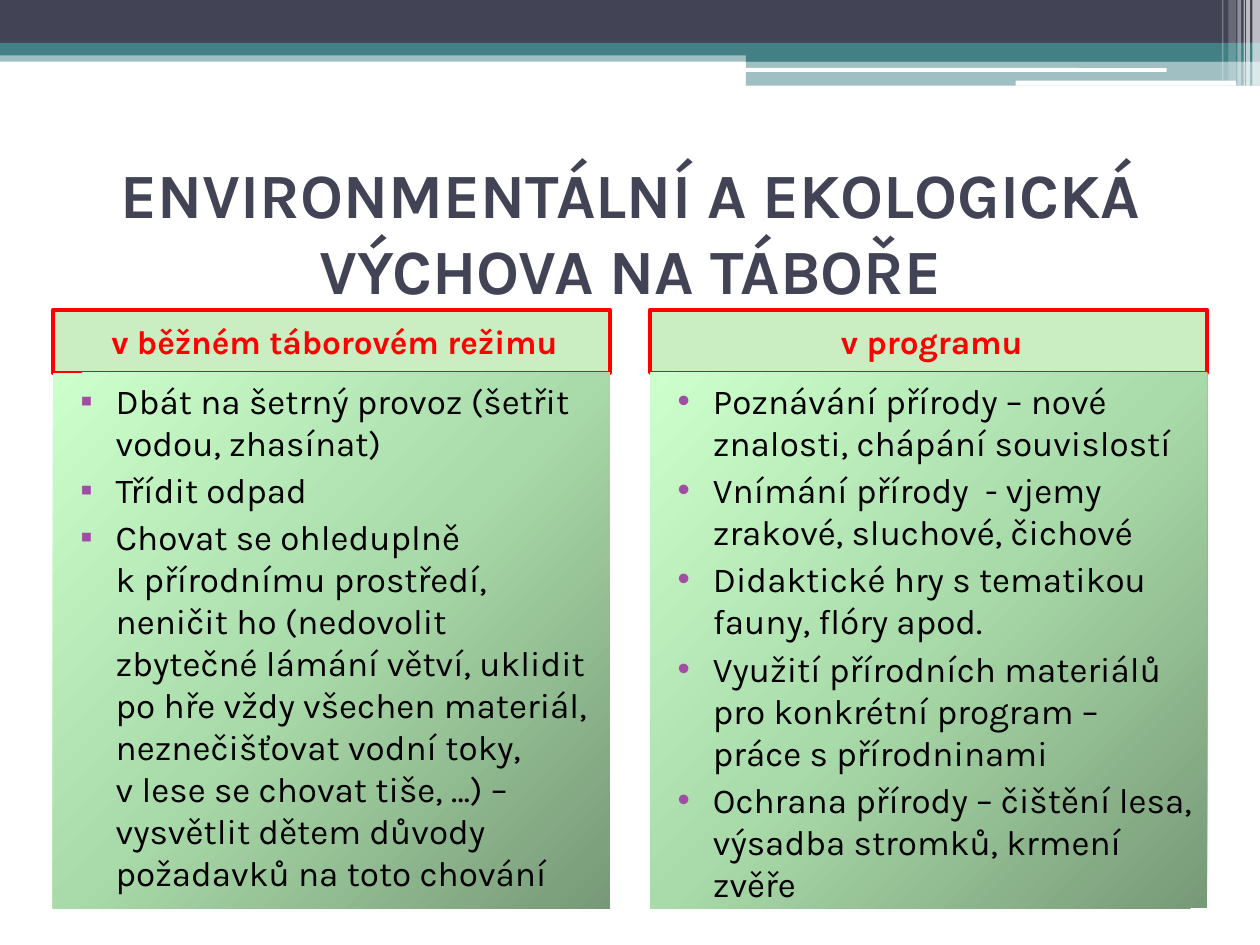
"""Build a slide on environmental education at a summer camp."""
from lxml import etree
from pptx import Presentation
from pptx import util as u
from pptx.dml.color import RGBColor
from pptx.enum import shapes, text
from pptx.oxml import ns, parse_xml

NAVY = RGBColor(0x42, 0x44, 0x56)
TEAL = RGBColor(0x43, 0x80, 0x86)
WHITE = RGBColor(0xFF, 0xFF, 0xFF)
BLACK = RGBColor(0, 0, 0)
RED = RGBColor(0xFF, 0, 0)
GREEN = RGBColor(0x2D, 0xBF, 0x0B)
PURPLE = RGBColor(0xA0, 0x4D, 0xA3)
GRADIENT = ((0, RGBColor(0x77, 0x99, 0x77)), (50, RGBColor(0xA9, 0xDA, 0xA9)),
            (100, RGBColor(0xCC, 0xFF, 0xCC)))
FONT = "Karla"
LINEAR = '<a:lin ang="13500000" scaled="0"/>'
CIRCLE = '<a:path path="circle"><a:fillToRect l="100000" t="100000"/></a:path>'
COLUMN_W = 4.42

BANDS = (
    (0, 0.4, 10, 0.09, TEAL, 50),
    (0, 0, 10, 0.34, NAVY, 100),
    (0, 0.34, 10, 0.1, TEAL, 100),
    (5.92, 0.39, 4.08, 0.1, TEAL, 100),
    (5.92, 0.48, 4.08, 0.2, TEAL, 50),
)
PILLS = ((5.91, 0.54, 3.35, 0.03), (8.06, 0.64, 1.75, 0.04))
STRIPES = (
    (9.94, 0.06, 0.68, 65), (9.89, 0.03, 0.68, 65), (9.87, 0.01, 0.68, 60),
    (9.82, 0.03, 0.68, 40), (9.75, 0.06, 0.64, 20), (9.7, 0.01, 0.64, 30),
)
COLUMNS = (
    (0.42, "v\u00a0běžném táborovém režimu", "▪", CIRCLE, (
        "Dbát na šetrný provoz (šetřit vodou, zhasínat)",
        "Třídit odpad",
        "Chovat se ohleduplně k\u00a0přírodnímu prostředí, neničit ho (nedovolit "
        "zbytečné lámání větví, uklidit po hře vždy všechen materiál, "
        "neznečišťovat vodní toky, v\u00a0lese se chovat tiše, …) – vysvětlit "
        "dětem důvody požadavků na toto chování")),
    (5.16, "v\u00a0programu", "•", LINEAR, (
        "Poznávání přírody – nové znalosti, chápání souvislostí",
        "Vnímání přírody  - vjemy zrakové, sluchové, čichové",
        "Didaktické hry s\u00a0tematikou fauny, flóry apod.",
        "Využití přírodních materiálů pro konkrétní program – "
        "práce s\u00a0přírodninami",
        "Ochrana přírody – čištění lesa, výsadba stromků, krmení zvěře")),
)


def add_box(s, x, y, w, h, color=None, alpha=100, kind=shapes.MSO_SHAPE.RECTANGLE):
    """Add a borderless shape, optionally with a translucent solid fill."""
    sp = s.shapes.add_shape(kind, *map(u.Inches, (x, y, w, h)))
    sp.shadow.inherit = False
    sp.line.fill.background()
    if color is not None:
        sp.fill.solid()
        sp.fill.fore_color.rgb = color
        if alpha < 100:
            clr = sp._element.spPr.find(ns.qn("a:solidFill"))[0]
            etree.SubElement(clr, ns.qn("a:alpha")).set("val", str(alpha * 1000))
    return sp


def set_gradient(sp, shade):
    """Fill a shape with the green gradient in the given direction."""
    stops = "".join(f'<a:gs pos="{pos * 1000}"><a:srgbClr val="{color}"/></a:gs>'
                    for pos, color in GRADIENT)
    grad = parse_xml(f'<a:gradFill {ns.nsdecls("a")} rotWithShape="1">'
                     f'<a:gsLst>{stops}</a:gsLst>{shade}</a:gradFill>')
    sp._element.spPr.find(ns.qn("a:prstGeom")).addnext(grad)


def set_frame(sp, anchor):
    """Prepare the text frame of a shape."""
    tf = sp.text_frame
    tf.word_wrap = True
    tf.vertical_anchor = anchor
    return tf


def write(p, content, size, color, align, bold=False, before=0):
    """Write one run into a paragraph."""
    p.alignment = align
    p.space_before = u.Pt(before)
    r = p.add_run()
    r.text = content
    r.font.name = FONT
    r.font.size = u.Pt(size)
    r.font.bold = bold
    r.font.color.rgb = color


def set_indent(p, left, first=0):
    """Set the left margin and first-line indent of a paragraph."""
    pPr = p._p.get_or_add_pPr()
    pPr.set("marL", str(u.Inches(left)))
    pPr.set("indent", str(u.Inches(first)))
    return pPr


def set_bullet(p, char):
    """Give a paragraph a hanging purple bullet."""
    pPr = set_indent(p, 0.4, -0.28)
    clr = etree.SubElement(pPr, ns.qn("a:buClr"))
    etree.SubElement(clr, ns.qn("a:srgbClr")).set("val", str(PURPLE))
    etree.SubElement(pPr, ns.qn("a:buFont")).set("typeface", "Arial")
    etree.SubElement(pPr, ns.qn("a:buChar")).set("char", char)


def add_banner(s):
    """Draw the decorative bands along the top edge."""
    for band in BANDS:
        add_box(s, *band)
    for pill in PILLS:
        add_box(s, *pill, WHITE, kind=shapes.MSO_SHAPE.ROUNDED_RECTANGLE)
    for x, w, h, alpha in STRIPES:
        add_box(s, x, 0, w, h, WHITE, alpha)


def add_title(s, content):
    """Add the centred slide title."""
    sp = s.shapes.add_textbox(*map(u.Inches, (0.42, 1.25, 9.17, 1.17)))
    tf = set_frame(sp, text.MSO_ANCHOR.MIDDLE)
    write(tf.paragraphs[0], content, 36, NAVY, text.PP_ALIGN.CENTER, True)


def add_heading(s, x, content):
    """Add the outlined heading of a column."""
    sp = add_box(s, x, 2.46, COLUMN_W, 0.5, GREEN, 25)
    sp.line.color.rgb = RED
    sp.line.width = u.Pt(2.25)
    p = set_frame(sp, text.MSO_ANCHOR.MIDDLE).paragraphs[0]
    write(p, content, 19, RED, text.PP_ALIGN.CENTER, True, 3)
    set_indent(p, 0.05)


def add_list(s, x, items, char, shade):
    """Add the bulleted gradient panel of a column."""
    sp = add_box(s, x, 2.96, COLUMN_W, 4.25)
    set_gradient(sp, shade)
    tf = set_frame(sp, text.MSO_ANCHOR.TOP)
    for i, item in enumerate(items):
        p = tf.add_paragraph() if i else tf.paragraphs[0]
        write(p, item, 20, BLACK, text.PP_ALIGN.LEFT, before=3)
        set_bullet(p, char)


def main():
    """Build and save the slide."""
    prs = Presentation()
    prs.slide_width, prs.slide_height = u.Inches(10), u.Inches(7.5)
    s = prs.slides.add_slide(prs.slide_layouts[6])
    add_banner(s)
    add_title(s, "ENVIRONMENTÁLNÍ A EKOLOGICKÁ VÝCHOVA NA TÁBOŘE")
    for x, heading, char, shade, items in COLUMNS:
        add_heading(s, x, heading)
        add_list(s, x, items, char, shade)
    prs.save("out.pptx")


main()
